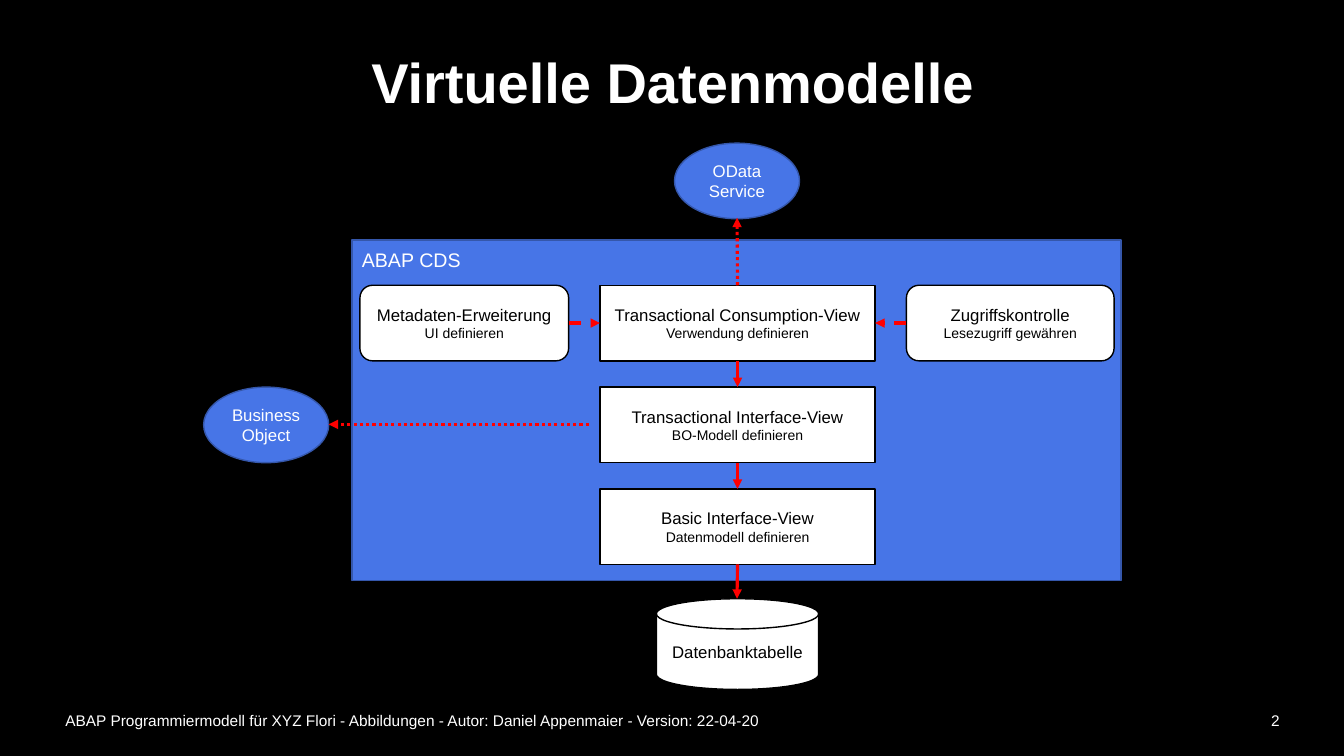
"""Build the slide on virtual data models in ABAP CDS."""
from dataclasses import dataclass
from typing import Optional

from pptx import Presentation
from pptx.dml.color import RGBColor
from pptx.enum.dml import MSO_LINE as Dash
from pptx.enum.shapes import MSO_CONNECTOR, MSO_SHAPE as Kind
from pptx.enum.text import MSO_ANCHOR as Anchor, PP_ALIGN as Align
from pptx.oxml.ns import qn
from pptx.util import Inches, Pt

BLACK = RGBColor(0x00, 0x00, 0x00)
WHITE = RGBColor(0xFF, 0xFF, 0xFF)
BLUE = RGBColor(0x47, 0x75, 0xE7)
DARK_BLUE = RGBColor(0x35, 0x57, 0xAB)
RED = RGBColor(0xFF, 0x00, 0x00)

FONT = "Arial"
TOP, LEFT, BOTTOM, RIGHT = range(4)
AXIS = 7.31
VIEW_LEFT, VIEW_WIDTH = 5.95, 2.73
ROW_TOP, ROW_STEP, ROW_HEIGHT = 2.83, 1.01, 0.75
ROWS = [ROW_TOP + ROW_STEP * index for index in range(3)]
OVAL_WIDTH = 1.24


@dataclass(frozen=True)
class Node:
    """A labelled shape of the diagram."""
    kind: Kind
    left: float
    top: float
    width: float
    height: float
    label: str
    detail: str = ""
    blue: bool = False


@dataclass(frozen=True)
class Arrow:
    """An arrow between two points, joined to nodes where named."""
    start: tuple[float, float]
    end: tuple[float, float]
    dash: Optional[Dash] = None
    source: Optional[tuple[str, int]] = None
    target: Optional[tuple[str, int]] = None


def view(label: str, row: int, detail: str) -> Node:
    """Describe one of the stacked views."""
    return Node(Kind.RECTANGLE, VIEW_LEFT, ROWS[row], VIEW_WIDTH, ROW_HEIGHT, label, detail)


CONSUMPTION = "Transactional Consumption-View"
INTERFACE = "Transactional Interface-View"
BASIC = "Basic Interface-View"
METADATA = "Metadaten-Erweiterung"
ACCESS = "Zugriffskontrolle"

NODES = [
    view(CONSUMPTION, 0, "Verwendung definieren"),
    view(INTERFACE, 1, "BO-Modell definieren"),
    view(BASIC, 2, "Datenmodell definieren"),
    Node(Kind.ROUNDED_RECTANGLE, 3.57, ROWS[0], 2.07, ROW_HEIGHT, METADATA, "UI definieren"),
    Node(Kind.ROUNDED_RECTANGLE, 8.99, ROWS[0], 2.06, ROW_HEIGHT, ACCESS,
         "Lesezugriff gewähren"),
    Node(Kind.OVAL, 2.02, ROWS[1], OVAL_WIDTH, ROW_HEIGHT, "Business Object", blue=True),
    Node(Kind.OVAL, 6.69, 1.42, OVAL_WIDTH, ROW_HEIGHT, "OData Service", blue=True),
    Node(Kind.FLOWCHART_MAGNETIC_DISK, 6.51, 5.94, 1.61, 0.9, "Datenbanktabelle"),
]

ARROWS = [
    Arrow((AXIS, 2.83), (AXIS, 2.16), Dash.ROUND_DOT, source=(CONSUMPTION, TOP)),
    Arrow((5.84, 4.21), (3.26, 4.21), Dash.ROUND_DOT),
    Arrow((5.64, 3.21), (5.95, 3.21), Dash.DASH, (METADATA, RIGHT), (CONSUMPTION, LEFT)),
    Arrow((8.99, 3.21), (8.68, 3.21), Dash.DASH, (ACCESS, LEFT), (CONSUMPTION, RIGHT)),
    Arrow((AXIS, 3.58), (AXIS, 3.84), None, (CONSUMPTION, BOTTOM), (INTERFACE, TOP)),
    Arrow((AXIS, 4.59), (AXIS, 4.85), None, (INTERFACE, BOTTOM), (BASIC, TOP)),
    Arrow((AXIS, 5.6), (AXIS, 5.94), source=(BASIC, BOTTOM)),
]


def write(para, text: str, size: float, color: RGBColor, align: Align) -> None:
    """Put formatted text into a paragraph."""
    para.text = text
    para.alignment = align
    para.font.name = FONT
    para.font.size = Pt(size)
    para.font.color.rgb = color


def add_block(page, kind: Kind, left: float, top: float, width: float, height: float, blue: bool):
    """Add a filled and outlined shape."""
    block = page.shapes.add_shape(kind, Inches(left), Inches(top), Inches(width), Inches(height))
    block.shadow.inherit = False
    block.fill.solid()
    block.fill.fore_color.rgb = BLUE if blue else WHITE
    block.line.color.rgb = DARK_BLUE if blue else BLACK
    block.line.width = Pt(1)
    return block


def add_panel(page) -> None:
    """Add the area that holds the CDS views."""
    frame = add_block(page, Kind.RECTANGLE, 3.49, 2.38, 7.63, 3.38, True).text_frame
    frame.vertical_anchor = Anchor.TOP
    frame.margin_top = frame.margin_bottom = Inches(0.08)
    write(frame.paragraphs[0], "ABAP CDS", 14, WHITE, Align.LEFT)


def add_node(page, node: Node):
    """Add a node with its label and detail line."""
    block = add_block(page, node.kind, node.left, node.top, node.width, node.height, node.blue)
    frame = block.text_frame
    frame.vertical_anchor = Anchor.MIDDLE
    color = WHITE if node.blue else BLACK
    write(frame.paragraphs[0], node.label, 12, color, Align.CENTER)
    if node.detail:
        write(frame.add_paragraph(), node.detail, 10, color, Align.CENTER)
    return block


def add_arrow(page, arrow: Arrow, blocks: dict) -> None:
    """Add a red arrow and join it to its nodes."""
    points = [Inches(value) for value in (*arrow.start, *arrow.end)]
    link = page.shapes.add_connector(MSO_CONNECTOR.STRAIGHT, *points)
    if arrow.source:
        label, side = arrow.source
        link.begin_connect(blocks[label], side)
    if arrow.target:
        label, side = arrow.target
        link.end_connect(blocks[label], side)
    link.line.color.rgb = RED
    link.line.width = Pt(2.25)
    if arrow.dash is not None:
        link.line.dash_style = arrow.dash
    properties = link._element.spPr
    outline = properties.find(qn("a:ln"))
    outline.append(outline.makeelement(qn("a:tailEnd"), {"type": "triangle"}))
    properties.append(properties.makeelement(qn("a:effectLst"), {}))


def add_title(page, text: str) -> None:
    """Fill and place the title placeholder."""
    title = page.shapes.title
    title.left, title.top = Inches(0.55), Inches(0.25)
    title.width, title.height = Inches(12.24), Inches(1.2)
    title.text_frame.vertical_anchor = Anchor.MIDDLE
    para = title.text_frame.paragraphs[0]
    write(para, text, 40, WHITE, Align.CENTER)
    para.font.bold = True
    para.line_spacing = 0.9


def add_footer(page, left: float, width: float, text: str, align: Align) -> None:
    """Add a text box on the footer line."""
    box = page.shapes.add_textbox(Inches(left), Inches(6.95), Inches(width), Inches(0.4))
    box.text_frame.word_wrap = True
    box.text_frame.vertical_anchor = Anchor.MIDDLE
    write(box.text_frame.paragraphs[0], text, 11, WHITE, align)


def main() -> None:
    """Build and save the deck."""
    deck = Presentation()
    deck.slide_width, deck.slide_height = Inches(13.33), Inches(7.5)
    page = deck.slides.add_slide(deck.slide_layouts[5])
    page.background.fill.solid()
    page.background.fill.fore_color.rgb = BLACK
    add_title(page, "Virtuelle Datenmodelle")
    add_panel(page)
    blocks = {node.label: add_node(page, node) for node in NODES}
    for arrow in ARROWS:
        add_arrow(page, arrow, blocks)
    add_footer(page, 0.55, 11.44, "ABAP Programmiermodell für XYZ Flori - Abbildungen - "
               "Autor: Daniel Appenmaier - Version: 22-04-20", Align.LEFT)
    add_footer(page, 11.99, 0.8, "2", Align.RIGHT)
    deck.save("out.pptx")


if __name__ == "__main__":
    main()
